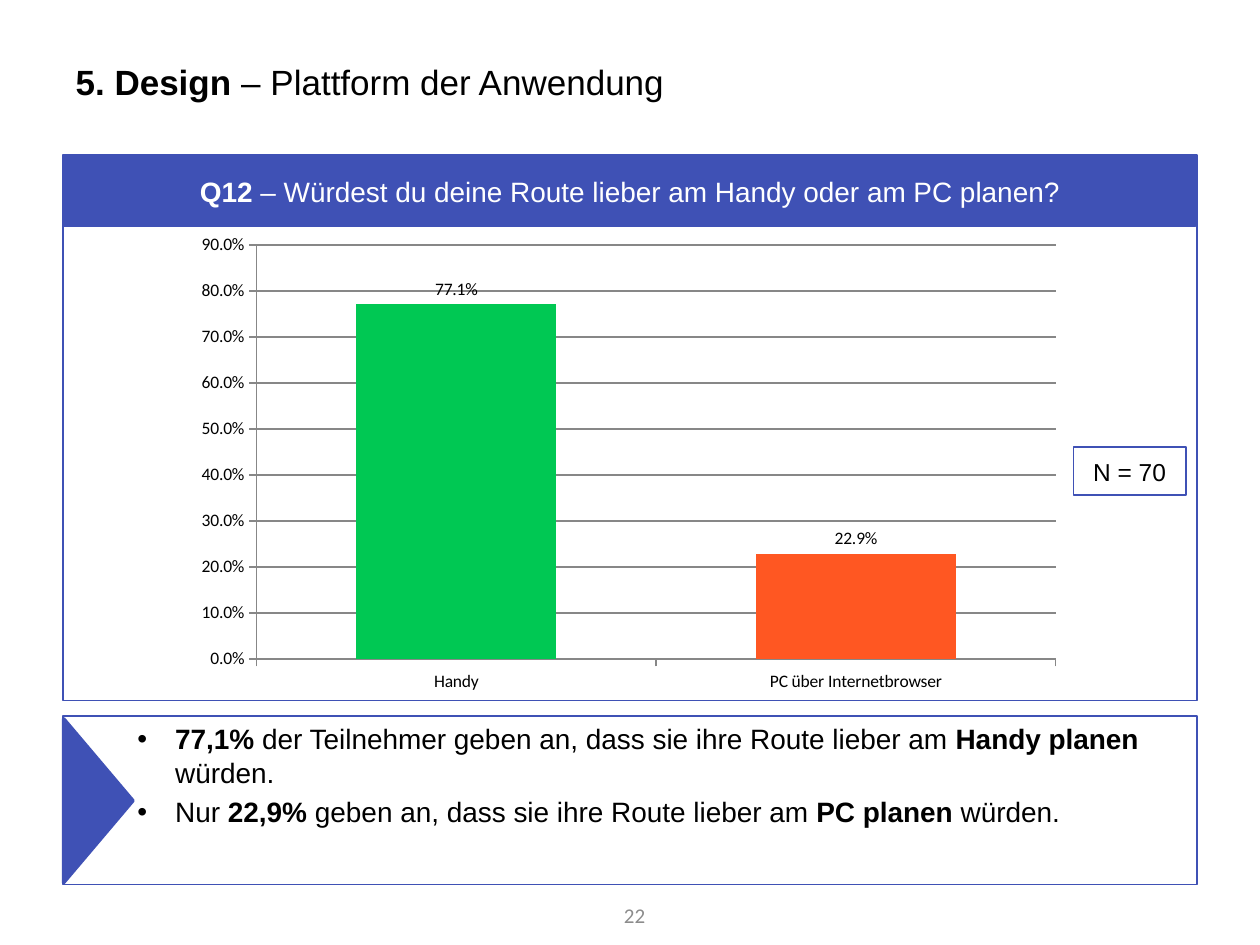
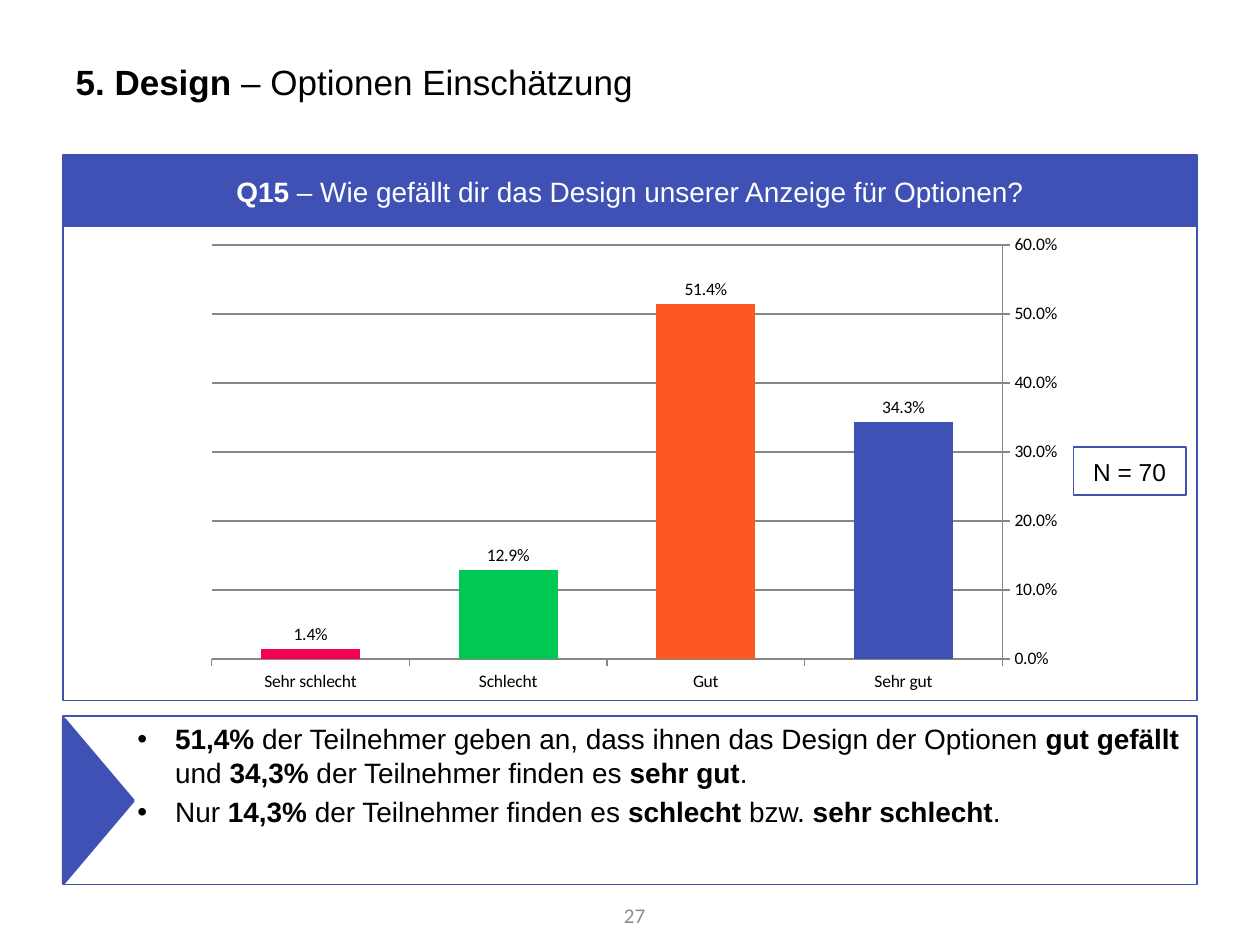
"""Builds two survey slides, each with a question, its column chart and the findings."""
from dataclasses import dataclass
from typing import Any, NamedTuple

from pptx import Presentation
from pptx import util as u
from pptx.chart.data import CategoryChartData
from pptx.dml.color import RGBColor
from pptx.enum import chart as ch, shapes, text

COLORS = {
    "brand": "3F51B5", "ink": "000000", "paper": "FFFFFF", "page": "8C8C8C",
    "grid": "878787", "green": "00C853", "orange": "FF5722", "pink": "F50057",
}
SLIDE_WIDTH, SLIDE_HEIGHT = u.Inches(10), u.Inches(7.5)
COLUMN, ROW = SLIDE_WIDTH / 100, SLIDE_HEIGHT / 75
LEFT, CENTER, RIGHT = text.PP_ALIGN.LEFT, text.PP_ALIGN.CENTER, text.PP_ALIGN.RIGHT


class Area(NamedTuple):
    """Place on a grid of 100 columns and 75 rows."""
    column: float
    row: float
    columns: float
    rows: float

    def lengths(self) -> dict[str, int]:
        return {"left": round(self.column * COLUMN), "top": round(self.row * ROW),
                "width": round(self.columns * COLUMN), "height": round(self.rows * ROW)}


class Style(NamedTuple):
    """Look of a text."""
    size: float
    color: str = "ink"
    align: Any = LEFT
    font: str = "Arial"


class Answer(NamedTuple):
    """One column of the chart."""
    label: str
    share: float
    color: str


@dataclass
class Question:
    """Content of one slide; asterisks enclose bold wording."""
    title: str
    wording: str
    answers: list[Answer]
    findings: list[str]
    page: str
    chart_area: Area
    axis_top: float
    reverse: bool = False


TITLE = Area(5, 3, 90, 6.9)
FRAME = Area(5, 12.3, 90, 43.3)
BAND = Area(5.1, 12.4, 89.8, 5.5)
FINDINGS = Area(5, 56.8, 90, 13.4)
POINTER = Area(1.3, 60.8, 13, 5.5)
SAMPLE = Area(85.2, 35.5, 8.9, 3.8)
PAGE = Area(45.9, 70.6, 6.3, 4)

QUESTIONS = [
    Question(
        "*5. Design *– Plattform der Anwendung",
        "*Q12 *– Würdest du deine Route lieber am Handy oder am PC planen?",
        [Answer("Handy", 0.771, "green"),
         Answer("PC über Internetbrowser", 0.229, "orange")],
        ["*77,1% *der Teilnehmer geben an, dass sie ihre Route lieber am *Handy planen *würden.",
         "Nur *22,9% *geben an, dass sie ihre Route lieber am *PC planen *würden."],
        "22", Area(14.6, 17.9, 70.6, 37.7), 0.9),
    Question(
        "*5. Design *– Optionen Einschätzung",
        "*Q15 *– Wie gefällt dir das Design unserer Anzeige für Optionen?",
        [Answer("Sehr gut", 0.343, "brand"), Answer("Gut", 0.514, "orange"),
         Answer("Schlecht", 0.129, "green"), Answer("Sehr schlecht", 0.014, "pink")],
        ["*51,4% *der Teilnehmer geben an, dass ihnen das Design der Optionen *gut gefällt *"
         "und *34,3% *der Teilnehmer finden es *sehr gut*.",
         "Nur *14,3% *der Teilnehmer finden es *schlecht *bzw. *sehr schlecht*."],
        "27", Area(15.4, 17.9, 69.9, 37.7), 0.6, reverse=True),
]


def apply(target: Any, values: dict[str, Any]) -> None:
    """Set every named attribute of the target."""
    for name, value in values.items():
        setattr(target, name, value)


def rgb(name: str) -> RGBColor:
    """Look up a colour."""
    return RGBColor.from_string(COLORS[name])


def paint(part: Any, color: str) -> None:
    """Fill a shape or chart part with one colour."""
    part.fill.solid()
    part.fill.fore_color.rgb = rgb(color)


def outline(line: Any, color: str, width: float) -> None:
    """Draw a line in one colour and width."""
    line.color.rgb = rgb(color)
    line.width = u.Pt(width)


def write(shape: Any, lines: list[str], style: Style, anchor: Any = text.MSO_ANCHOR.MIDDLE) -> None:
    """Write paragraphs in which asterisks switch bold on and off."""
    frame = shape.text_frame
    apply(frame, {"word_wrap": True, "auto_size": text.MSO_AUTO_SIZE.NONE,
                  "vertical_anchor": anchor})
    for index, line in enumerate(lines):
        paragraph = frame.add_paragraph() if index else frame.paragraphs[0]
        paragraph.alignment = style.align
        for position, wording in enumerate(line.split("*")):
            if wording:
                run = paragraph.add_run()
                run.text = wording
                apply(run.font, {"size": u.Pt(style.size), "name": style.font,
                                 "bold": position % 2 == 1})
                run.font.color.rgb = rgb(style.color)


def add_block(slide: Any, area: Area, filled: bool = False, width: float = 1,
              preset: Any = shapes.MSO_SHAPE.RECTANGLE) -> Any:
    """Add an outlined shape, solid or open."""
    block = slide.shapes.add_shape(preset, *area.lengths().values())
    block.shadow.inherit = False
    if filled:
        paint(block, "brand")
    else:
        block.fill.background()
    outline(block.line, "brand", width)
    return block


def add_findings(body: Any, findings: list[str]) -> None:
    """Place the bulleted findings in the body placeholder."""
    apply(body, FINDINGS.lengths())
    outline(body.line, "brand", 1)
    write(body, findings, Style(16), text.MSO_ANCHOR.TOP)
    for paragraph in body.text_frame.paragraphs:
        indents = paragraph._p.get_or_add_pPr()
        indents.set("marL", str(u.Inches(0.79)))
        indents.set("indent", str(u.Inches(-0.3)))


def add_results(slide: Any, question: Question) -> None:
    """Chart the share of each answer."""
    data = CategoryChartData(number_format="0.0%")
    data.categories = [answer.label for answer in question.answers]
    data.add_series("Series 1", [answer.share for answer in question.answers])
    chart = slide.shapes.add_chart(ch.XL_CHART_TYPE.COLUMN_CLUSTERED,
                                   *question.chart_area.lengths().values(), data).chart
    apply(chart, {"has_legend": False, "has_title": False})
    apply(chart.font, {"size": u.Pt(10), "name": "Calibri"})
    chart.font.color.rgb = rgb("ink")

    shares, answers = chart.value_axis, chart.category_axis
    apply(shares, {"minimum_scale": 0, "maximum_scale": question.axis_top, "major_unit": 0.1,
                   "has_major_gridlines": True})
    apply(shares.tick_labels, {"number_format": "0.0%", "number_format_is_linked": False})
    answers.reverse_order = question.reverse
    for axis in (shares, answers):
        axis.major_tick_mark = ch.XL_TICK_MARK.OUTSIDE
    for line in (shares.format.line, answers.format.line, shares.major_gridlines.format.line):
        outline(line, "grid", 0.75)

    plot = chart.plots[0]
    apply(plot, {"gap_width": 100, "vary_by_categories": False, "has_data_labels": True})
    apply(plot.data_labels, {"show_value": True, "number_format": "0.0%",
                             "number_format_is_linked": False,
                             "position": ch.XL_LABEL_POSITION.OUTSIDE_END})
    for index, answer in enumerate(question.answers):
        paint(plot.series[0].points[index].format, answer.color)


def add_question(deck: Any, question: Question) -> None:
    """Build the slide of one question."""
    slide = deck.slides.add_slide(deck.slide_layouts[1])
    title, body = slide.placeholders
    apply(title, TITLE.lengths())
    write(title, [question.title], Style(20))
    add_findings(body, question.findings)

    pointer = add_block(slide, POINTER, True, 2, shapes.MSO_SHAPE.ISOSCELES_TRIANGLE)
    pointer.rotation = 90
    add_block(slide, FRAME)
    write(add_block(slide, BAND, True, 2), [question.wording], Style(16, "paper", CENTER))
    write(add_block(slide, SAMPLE), ["N = 70"], Style(14, align=CENTER))
    write(slide.shapes.add_textbox(*PAGE.lengths().values()), [question.page],
          Style(12, "page", RIGHT, "Calibri"))
    add_results(slide, question)


def main() -> None:
    """Build and save the deck."""
    deck = Presentation()
    apply(deck, {"slide_width": SLIDE_WIDTH, "slide_height": SLIDE_HEIGHT})
    for question in QUESTIONS:
        add_question(deck, question)
    deck.save("out.pptx")


main()
